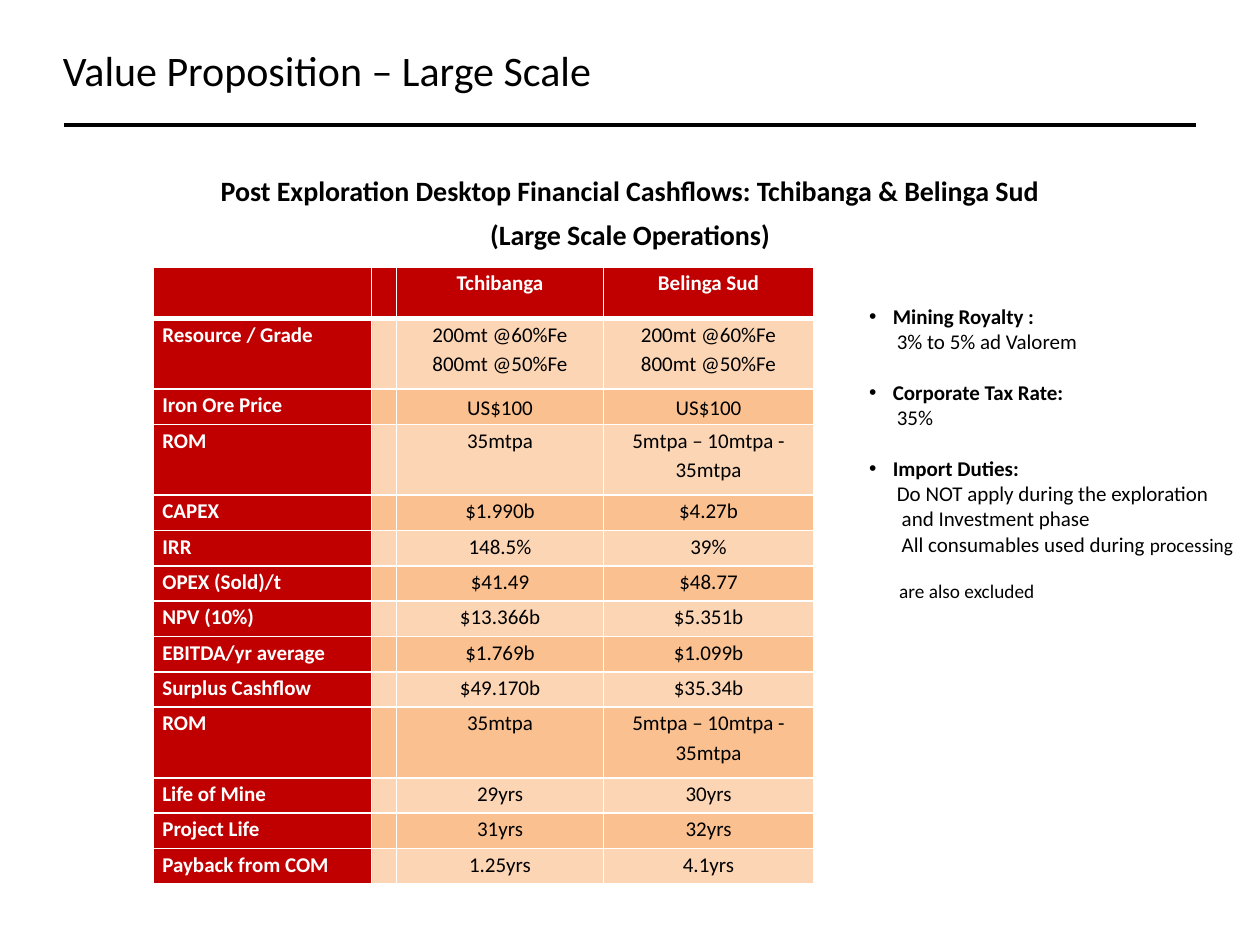
from typing import NamedTuple

from lxml import etree
from pptx import Presentation
from pptx.dml.color import RGBColor
from pptx.enum import shapes, text
from pptx.oxml import ns
from pptx.util import Pt

BLACK = RGBColor(0x00, 0x00, 0x00)
WHITE = RGBColor(0xFF, 0xFF, 0xFF)
RED = RGBColor(0xC0, 0x00, 0x00)
PEACH = RGBColor(0xFC, 0xD5, 0xB5)
ORANGE = RGBColor(0xFA, 0xC0, 0x90)
FONT = "Calibri"
CENTER = text.PP_ALIGN.CENTER
TOP, MIDDLE = text.MSO_ANCHOR.TOP, text.MSO_ANCHOR.MIDDLE

COLUMN_WIDTHS = (124.5, 14.4, 118.1, 120.2)
HEADER_HEIGHT, LINE_HEIGHT = 29.4, 20.2


class Metric(NamedTuple):
    label: str
    tchibanga: str
    belinga: str
    lines: int = 1
    anchor: text.MSO_ANCHOR = TOP


class Line(NamedTuple):
    """One line of the notes; a heading carries a bullet."""
    runs: tuple[tuple[str, float], ...]
    heading: bool = False
    indent: float = 15.8
    before: float = 0


GRADES = "200mt @60%Fe\n800mt @50%Fe"
ROM = Metric("ROM", "35mtpa", "5mtpa – 10mtpa - 35mtpa", 2)
METRICS = (
    Metric("Resource / Grade", GRADES, GRADES, 2),
    Metric("Iron Ore Price", "US$100", "US$100", anchor=MIDDLE),
    ROM,
    Metric("CAPEX", "$1.990b", "$4.27b"),
    Metric("IRR", "148.5%", "39%"),
    Metric("OPEX (Sold)/t", "$41.49", "$48.77"),
    Metric("NPV (10%)", "$13.366b", "$5.351b"),
    Metric("EBITDA/yr average", "$1.769b", "$1.099b"),
    Metric("Surplus Cashflow", "$49.170b", "$35.34b"),
    ROM,
    Metric("Life of Mine", "29yrs", "30yrs"),
    Metric("Project Life", "31yrs", "32yrs"),
    Metric("Payback from COM", "1.25yrs", "4.1yrs"),
)
NOTES = (
    Line((("Mining Royalty :", 12),), heading=True),
    Line((("3% to 5% ad Valorem", 12),)),
    Line((("Corporate Tax Rate:", 12),), heading=True, before=14.6),
    Line((("35%", 12),)),
    Line((("Import Duties:", 12),), heading=True, before=14.6),
    Line((("Do NOT apply during the exploration", 12),)),
    Line((("and Investment phase", 12),), indent=18.6),
    Line((("All consumables used during ", 12), ("processing", 11)), indent=18.6),
    Line((("are also excluded", 11),), indent=17.1, before=13.4),
)


def add_run(p, content: str, *, size: float = 12, color: RGBColor = BLACK,
            bold: bool = False) -> None:
    r = p.add_run()
    r.text = content
    r.font.name, r.font.size, r.font.bold = FONT, Pt(size), bold
    r.font.color.rgb = color


def write(tf, content: str, *, align=None, spacing: float | None = None,
          after: float = 0, **run_format) -> None:
    """Fill a text frame, one paragraph for each line of the content."""
    for i, row in enumerate(content.split("\n")):
        p = tf.add_paragraph() if i else tf.paragraphs[0]
        p.alignment, p.line_spacing, p.space_after = align, spacing, Pt(after)
        add_run(p, row, **run_format)


def add_box(s, left: float, top: float, width: float, height: float, *,
            inset_left: float = 7.2, inset_top: float = 3.6, anchor=TOP):
    tf = s.shapes.add_textbox(Pt(left), Pt(top), Pt(width), Pt(height)).text_frame
    tf.word_wrap = True
    tf.margin_left, tf.margin_top = Pt(inset_left), Pt(inset_top)
    tf.vertical_anchor = anchor
    return tf


def set_indent(p, left: float, bullet: bool) -> None:
    pPr = p._p.get_or_add_pPr()
    pPr.set("marL", str(Pt(left)))
    pPr.set("indent", str(-Pt(left) if bullet else 0))
    if bullet:
        etree.SubElement(pPr, ns.qn("a:buFont")).set("typeface", "Arial")
        etree.SubElement(pPr, ns.qn("a:buChar")).set("char", "•")


def set_borders(cell, top: float, bottom: float) -> None:
    tcPr = cell._tc.get_or_add_tcPr()
    for side, width in (("L", 1), ("R", 1), ("T", top), ("B", bottom)):
        ln = etree.SubElement(tcPr, ns.qn(f"a:ln{side}"), w=str(Pt(width)))
        fill = etree.SubElement(ln, ns.qn("a:solidFill"))
        etree.SubElement(fill, ns.qn("a:srgbClr")).set("val", str(WHITE))


def style_cell(cell, content: str, row: int, col: int, anchor) -> None:
    set_borders(cell, 3 if row == 1 else 1, 3 if row == 0 else 1)
    strong = row == 0 or col == 0
    cell.fill.solid()
    cell.fill.fore_color.rgb = RED if strong else PEACH if row % 2 else ORANGE
    cell.margin_left = cell.margin_right = Pt(5)
    cell.margin_top = cell.margin_bottom = 0
    if content:
        cell.vertical_anchor = anchor
        write(cell.text_frame, content, align=CENTER if col else None, spacing=1.15,
              color=WHITE if strong else BLACK, bold=strong)
    else:
        # An empty cell at the default size would stretch its row.
        p = cell.text_frame.paragraphs[0]._p
        etree.SubElement(p, ns.qn("a:endParaRPr")).set("sz", "1200")


def add_metrics_table(s) -> None:
    rows = (Metric("", "Tchibanga", "Belinga Sud"), *METRICS)
    heights = [HEADER_HEIGHT, *(m.lines * LINE_HEIGHT for m in METRICS)]
    table = s.shapes.add_table(len(rows), len(COLUMN_WIDTHS), Pt(87.8), Pt(152.6),
                               Pt(sum(COLUMN_WIDTHS)), Pt(sum(heights))).table
    table.horz_banding = False
    for column, width in zip(table.columns, COLUMN_WIDTHS):
        column.width = Pt(width)
    for i, (m, height) in enumerate(zip(rows, heights)):
        table.rows[i].height = Pt(height)
        for j, content in enumerate((m.label, "", m.tchibanga, m.belinga)):
            style_cell(table.cell(i, j), content, i, j, m.anchor if j else TOP)


def add_notes(s) -> None:
    tf = add_box(s, 489.6, 169.9, 224.6, 179.3)
    for i, line in enumerate(NOTES):
        p = tf.add_paragraph() if i else tf.paragraphs[0]
        set_indent(p, 13.5 if line.heading else line.indent, line.heading)
        if line.before:
            p.space_before = Pt(line.before)
        for content, size in line.runs:
            add_run(p, content, size=size, bold=line.heading)


def add_rule(s) -> None:
    rule = s.shapes.add_connector(shapes.MSO_CONNECTOR.STRAIGHT,
                                  Pt(36.7), Pt(71.3), Pt(683.3), Pt(71.3))
    rule.line.color.rgb, rule.line.width = BLACK, Pt(2)
    etree.SubElement(rule._element.spPr, ns.qn("a:effectLst"))


def main() -> None:
    prs = Presentation()
    prs.slide_width, prs.slide_height = Pt(720), Pt(540)
    s = prs.slides.add_slide(prs.slide_layouts[6])
    add_rule(s)
    write(add_box(s, 59.8, 69.8, 600.5, 77.8, inset_top=29.1),
          "Post Exploration Desktop Financial Cashflows: Tchibanga & Belinga Sud\n"
          "(Large Scale Operations)", align=CENTER, after=6, size=16, bold=True)
    write(add_box(s, 0, 2.2, 720, 75.6, inset_left=36, anchor=MIDDLE),
          "Value Proposition – Large Scale", size=24)
    add_metrics_table(s)
    add_notes(s)
    prs.save("out.pptx")


if __name__ == "__main__":
    main()
